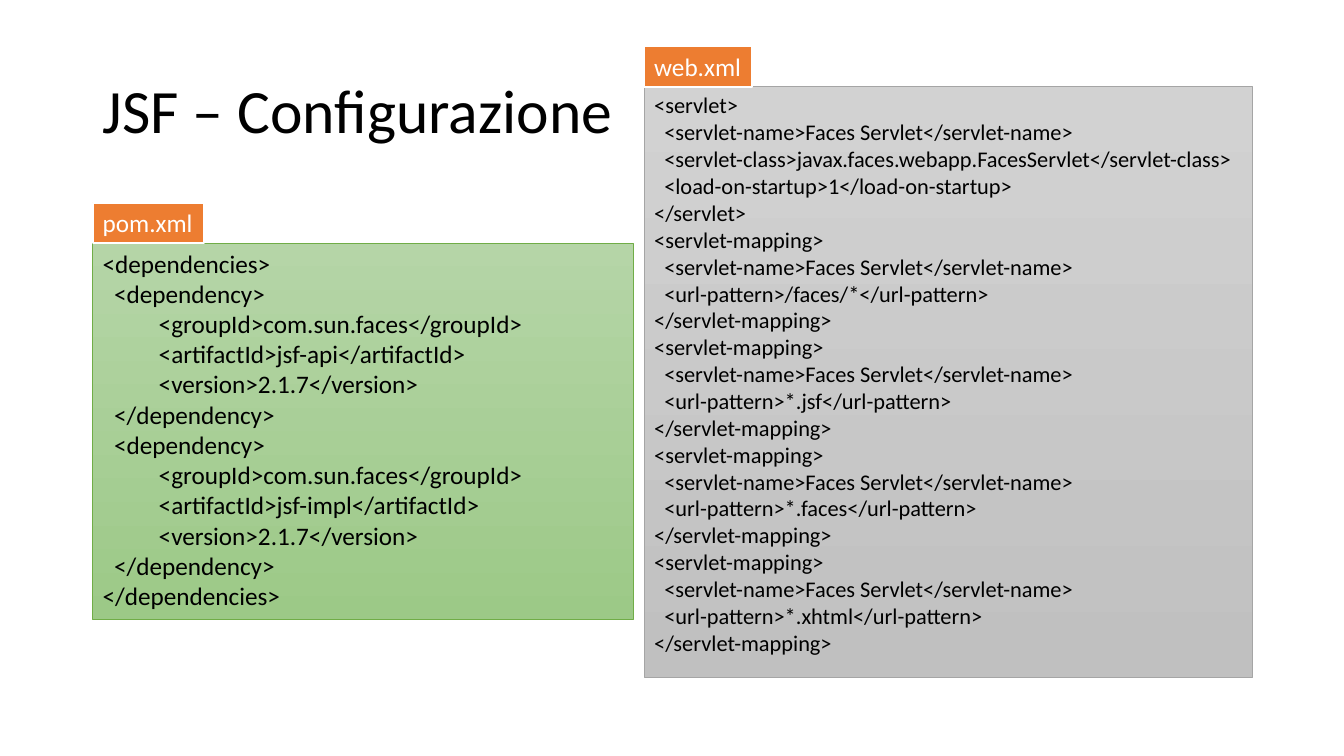
"""Build the JSF configuration slide with its two XML listings."""
from pptx import Presentation
from pptx.dml.color import RGBColor
from pptx.enum.shapes import MSO_SHAPE
from pptx.enum.text import MSO_ANCHOR, PP_ALIGN
from pptx.util import Inches, Pt

BLACK = RGBColor(0x00, 0x00, 0x00)
WHITE = RGBColor(0xFF, 0xFF, 0xFF)
ORANGE = RGBColor(0xED, 0x7D, 0x31)
GREEN_LIGHT = RGBColor(0xB5, 0xD5, 0xA7)
GREEN_DEEP = RGBColor(0x9C, 0xC9, 0x87)
GREEN_EDGE = RGBColor(0x70, 0xAD, 0x47)
GRAY_LIGHT = RGBColor(0xD2, 0xD2, 0xD2)
GRAY_DEEP = RGBColor(0xC0, 0xC0, 0xC0)
GRAY_EDGE = RGBColor(0xA5, 0xA5, 0xA5)

FONT = "Calibri"
TITLE = "JSF – Configurazione"
ARTIFACTS = ["jsf-api", "jsf-impl"]
URL_PATTERNS = ["/faces/*", "*.jsf", "*.faces", "*.xhtml"]
SERVLET_NAME = "  <servlet-name>Faces Servlet</servlet-name>"

pom_lines = ["<dependencies>"]
for artifact in ARTIFACTS:
    pom_lines += [
        "  <dependency>",
        "\t <groupId>com.sun.faces</groupId>",
        f"\t <artifactId>{artifact}</artifactId>",
        "\t <version>2.1.7</version>",
        "  </dependency>",
    ]
pom_lines.append("</dependencies>")

web_lines = [
    "<servlet>",
    SERVLET_NAME,
    "  <servlet-class>javax.faces.webapp.FacesServlet</servlet-class>",
    "  <load-on-startup>1</load-on-startup>",
    "</servlet>",
]
for pattern in URL_PATTERNS:
    web_lines += [
        "<servlet-mapping>",
        SERVLET_NAME,
        f"  <url-pattern>{pattern}</url-pattern>",
        "</servlet-mapping>",
    ]

LISTINGS = [
    dict(file="pom.xml", lines=pom_lines, size=18, box=(0.92, 2.41, 5.36, 3.74),
         tag_width=1.1, colors=(GREEN_LIGHT, GREEN_DEEP, GREEN_EDGE)),
    dict(file="web.xml", lines=web_lines, size=16, box=(6.39, 0.86, 6.03, 5.86),
         tag_width=1.07, colors=(GRAY_LIGHT, GRAY_DEEP, GRAY_EDGE)),
]
TAG_HEIGHT = 0.4


def write(shape, lines, size, color, anchor=MSO_ANCHOR.TOP, wrap=True):
    frame = shape.text_frame
    frame.text = "\n".join(lines)
    frame.word_wrap = wrap
    frame.vertical_anchor = anchor
    for paragraph in frame.paragraphs:
        paragraph.alignment = PP_ALIGN.LEFT
        for run in paragraph.runs:
            run.font.name = FONT
            run.font.size = Pt(size)
            run.font.color.rgb = color


def add_rectangle(slide, box, edge, edge_width):
    rectangle = slide.shapes.add_shape(MSO_SHAPE.RECTANGLE, *map(Inches, box))
    rectangle.shadow.inherit = False
    rectangle.line.color.rgb = edge
    rectangle.line.width = Pt(edge_width)
    return rectangle


def add_listing(slide, listing):
    light, deep, edge = listing["colors"]
    panel = add_rectangle(slide, listing["box"], edge, 0.5)
    panel.fill.gradient()
    panel.fill.gradient_angle = 270
    for stop, color, position in zip(panel.fill.gradient_stops, (light, deep), (0, 1)):
        stop.color.rgb = color
        stop.position = position
    write(panel, listing["lines"], listing["size"], BLACK)


def add_tag(slide, listing):
    left, top = listing["box"][:2]
    box = (left, top - TAG_HEIGHT, listing["tag_width"], TAG_HEIGHT)
    tag = add_rectangle(slide, box, WHITE, 1.5)
    tag.fill.solid()
    tag.fill.fore_color.rgb = ORANGE
    write(tag, [listing["file"]], 18, WHITE, wrap=False)


def main():
    deck = Presentation()
    deck.slide_width, deck.slide_height = Inches(13.33), Inches(7.5)
    slide = deck.slides.add_slide(deck.slide_layouts[6])

    title = slide.shapes.add_textbox(*map(Inches, (0.92, 0.4, 11.5, 1.45)))
    write(title, [TITLE], 44, BLACK, MSO_ANCHOR.MIDDLE)
    title.text_frame.paragraphs[0].line_spacing = 0.9

    for add_part in (add_listing, add_tag):
        for listing in LISTINGS:
            add_part(slide, listing)
    deck.save("out.pptx")


if __name__ == "__main__":
    main()
